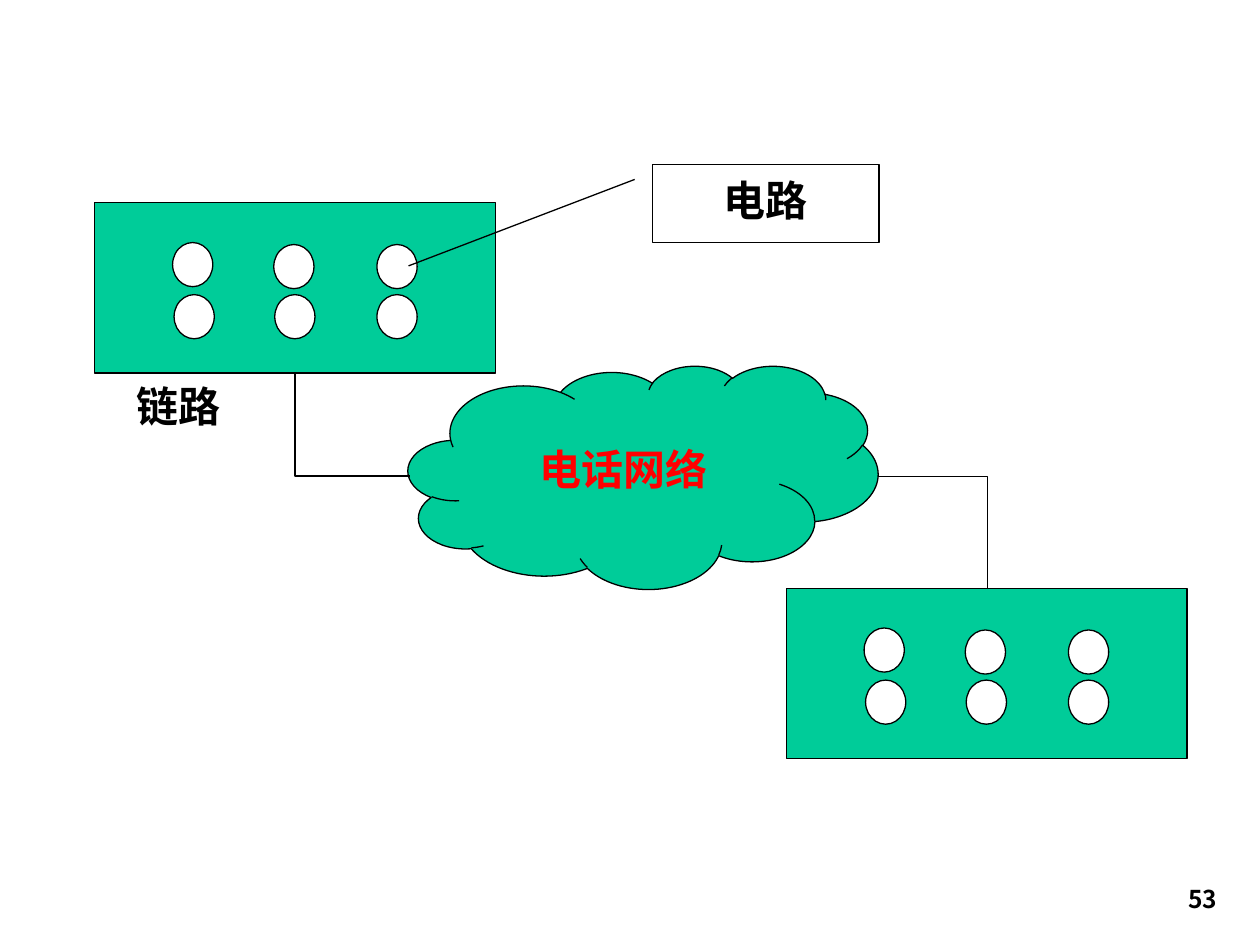
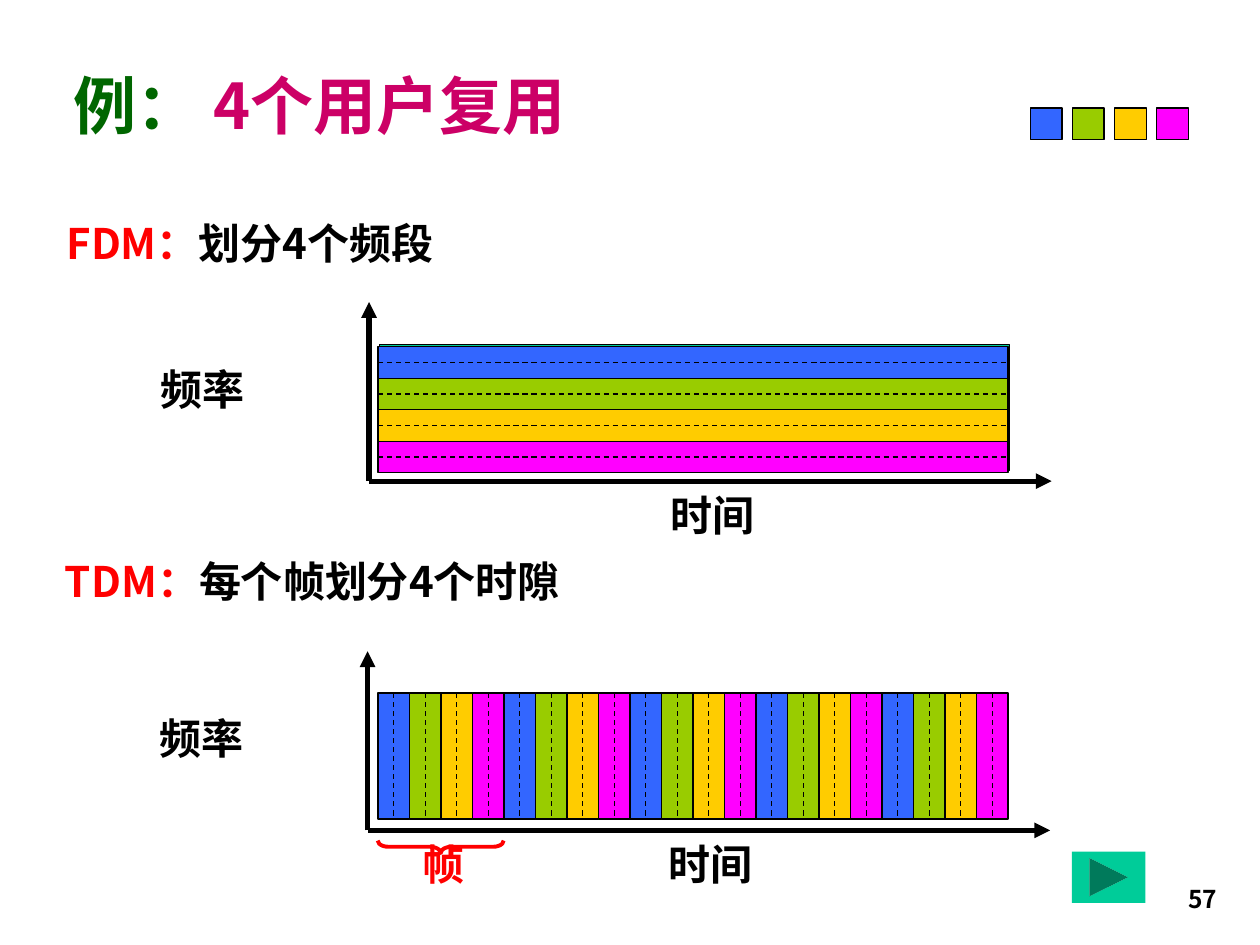
from pptx import Presentation
from pptx.dml.color import RGBColor
from pptx.enum.dml import MSO_LINE
from pptx.enum.shapes import MSO_CONNECTOR as LINK, MSO_SHAPE as SHAPE
from pptx.enum.text import MSO_ANCHOR as ANCHOR, PP_ALIGN as ALIGN
from pptx.oxml.ns import qn
from pptx.util import Cm, Pt
from lxml.etree import SubElement

FONT = "Noto Sans CJK SC"
BLACK, WHITE, RED, TEAL = "000000", "FFFFFF", "FF0000", "00CC99"
GREEN, CRIMSON = "006600", "CC0066"
USERS = ["3366FF", "99CC00", "FFCC00", "FF00FF"]
DOTS = [(1.57, 0.8), (3.61, 0.84), (5.69, 0.84),
        (1.6, 1.85), (3.63, 1.85), (5.69, 1.85)]


def color(value):
    return RGBColor.from_string(value)


class Sketch:
    """Holds the shared style and the slide being drawn."""

    def __init__(self):
        self.deck = Presentation()
        self.deck.slide_width, self.deck.slide_height = Cm(25.4), Cm(19.05)
        self.page = None

    def new_page(self, layout, number):
        self.page = self.deck.slides.add_slide(self.deck.slide_layouts[layout])
        self.text(23.06, 17.78, 1.73, 1.27, [(number, BLACK)], 14, ALIGN.RIGHT)

    def add_runs(self, frame, runs, size=24, align=ALIGN.LEFT):
        frame.word_wrap = True
        para = frame.paragraphs[0]
        para.alignment = align
        para.line_spacing = 0.85
        for words, ink in runs:
            span = para.add_run()
            span.text = words
            span.font.size, span.font.bold = Pt(size), True
            span.font.color.rgb = color(ink)
            span.font.name = FONT
            SubElement(span.font._element, qn("a:ea")).set("typeface", FONT)

    def text(self, x, y, width, height, runs, size=24, align=ALIGN.LEFT):
        box = self.page.shapes.add_textbox(Cm(x), Cm(y), Cm(width), Cm(height))
        self.add_runs(box.text_frame, runs, size, align)

    def title(self, runs):
        box = self.page.shapes.title
        box.left, box.top, box.width, box.height = Cm(1.22), Cm(0.64), Cm(23.52), Cm(3.18)
        box.text_frame.vertical_anchor = ANCHOR.MIDDLE
        self.add_runs(box.text_frame, runs, 36)

    def shape(self, kind, x, y, width, height, fill=None, line=BLACK, weight=0.75):
        item = self.page.shapes.add_shape(kind, Cm(x), Cm(y), Cm(width), Cm(height))
        item.shadow.inherit = False
        if fill:
            item.fill.solid()
            item.fill.fore_color.rgb = color(fill)
        else:
            item.fill.background()
        if line:
            item.line.color.rgb = color(line)
            item.line.width = Pt(weight)
        else:
            item.line.fill.background()
        return item

    def line(self, x1, y1, x2, y2, weight=0.75, dash=False, arrow=False, bent=False):
        kind = LINK.ELBOW if bent else LINK.STRAIGHT
        link = self.page.shapes.add_connector(kind, Cm(x1), Cm(y1), Cm(x2), Cm(y2))
        link.line.color.rgb = color(BLACK)
        link.line.width = Pt(weight)
        if dash:
            link.line.dash_style = MSO_LINE.DASH
        properties = link._element.spPr
        if arrow:
            SubElement(properties.find(qn("a:ln")), qn("a:tailEnd")).set("type", "triangle")
        if bent:
            properties.find(qn("a:prstGeom")).set("prst", "bentConnector2")
        SubElement(properties, qn("a:effectLst"))

    def panel(self, x, y):
        self.shape(SHAPE.RECTANGLE, x, y, 8.08, 3.43, TEAL)
        for dx, dy in DOTS:
            self.shape(SHAPE.FLOWCHART_CONNECTOR, x + dx, y + dy, 0.81, 0.89, WHITE)

    def axes(self, x, y):
        self.line(x, y, x, y - 3.61, 3, arrow=True)
        self.line(x, y, x + 13.76, y, 3, arrow=True)
        self.text(x - 4.45, y - 2.34, 2.24, 1.3, [("频率", BLACK)])
        self.text(x + 5.82, y + 0.2, 2.24, 1.3, [("时间", BLACK)])

    def slots(self, x, y, count, upright):
        width, height = 12.7, 2.54
        step = (width if upright else height) / count

        def across(offset, dash=False):
            if upright:
                self.line(x + offset, y, x + offset, y + height, dash=dash)
            else:
                self.line(x, y + offset, x + width, y + offset, dash=dash)

        for index in range(count):
            fill = USERS[index % len(USERS)]
            if upright:
                self.shape(SHAPE.RECTANGLE, x + index * step, y, step, height, fill)
            else:
                self.shape(SHAPE.RECTANGLE, x, y + index * step, width, step, fill)
        for index in range(1, count):
            across(index * step)
        for index in range(count):
            across((index + 0.5) * step, dash=True)


def draw_network(sketch):
    sketch.new_page(6, "53")
    sketch.shape(SHAPE.CLOUD, 8.23, 7.37, 9.47, 4.5, TEAL)
    sketch.panel(1.91, 4.09)
    sketch.panel(15.85, 11.86)
    sketch.line(8.26, 9.6, 5.95, 7.52, bent=True)
    sketch.line(17.7, 9.6, 19.91, 11.86, bent=True)
    callout = sketch.shape(SHAPE.LINE_CALLOUT_1, 13.16, 3.32, 4.56, 1.57, WHITE)
    for index, value in enumerate([0.19, -0.08, 1.3, -1.08]):
        callout.adjustments[index] = value
    callout.text_frame.vertical_anchor = ANCHOR.MIDDLE
    sketch.add_runs(callout.text_frame, [("电路", BLACK)], align=ALIGN.CENTER)
    sketch.text(2.51, 7.7, 2.24, 1.27, [("链路", BLACK)])
    sketch.text(10.62, 8.97, 3.94, 1.27, [("电话网络", RED)])


def draw_multiplexing(sketch):
    sketch.new_page(5, "57")
    sketch.title([("例： ", GREEN), ("4个用户复用", CRIMSON)])
    for index, fill in enumerate(USERS):
        sketch.shape(SHAPE.RECTANGLE, 20.77 + index * 0.85, 2.18, 0.64, 0.64, fill)

    sketch.text(1.09, 4.42, 8.2, 1.3, [("FDM：", RED), ("划分4个频段", BLACK)])
    sketch.axes(7.44, 9.7)
    sketch.shape(SHAPE.RECTANGLE, 7.65, 6.95, 12.7, 2.54, TEAL)
    sketch.slots(7.62, 6.99, 4, upright=False)

    sketch.text(1.06, 11.23, 11.05, 1.3, [("TDM：", RED), ("每个帧划分4个时隙", BLACK)])
    sketch.axes(7.41, 16.74)
    sketch.slots(7.62, 13.97, 20, upright=True)

    sketch.text(8.26, 16.94, 1.27, 1.27, [("帧", RED)])
    brace = sketch.shape(SHAPE.LEFT_BRACE, 8.76, 15.8, 0.25, 2.54, line=RED, weight=2.25)
    brace.rotation = 270
    brace.adjustments[0] = 0.86
    sketch.shape(SHAPE.ACTION_BUTTON_FORWARD_OR_NEXT, 21.61, 17.17, 1.48, 1.03, TEAL, None)


def main():
    sketch = Sketch()
    draw_network(sketch)
    draw_multiplexing(sketch)
    sketch.deck.save("out.pptx")


if __name__ == "__main__":
    main()
